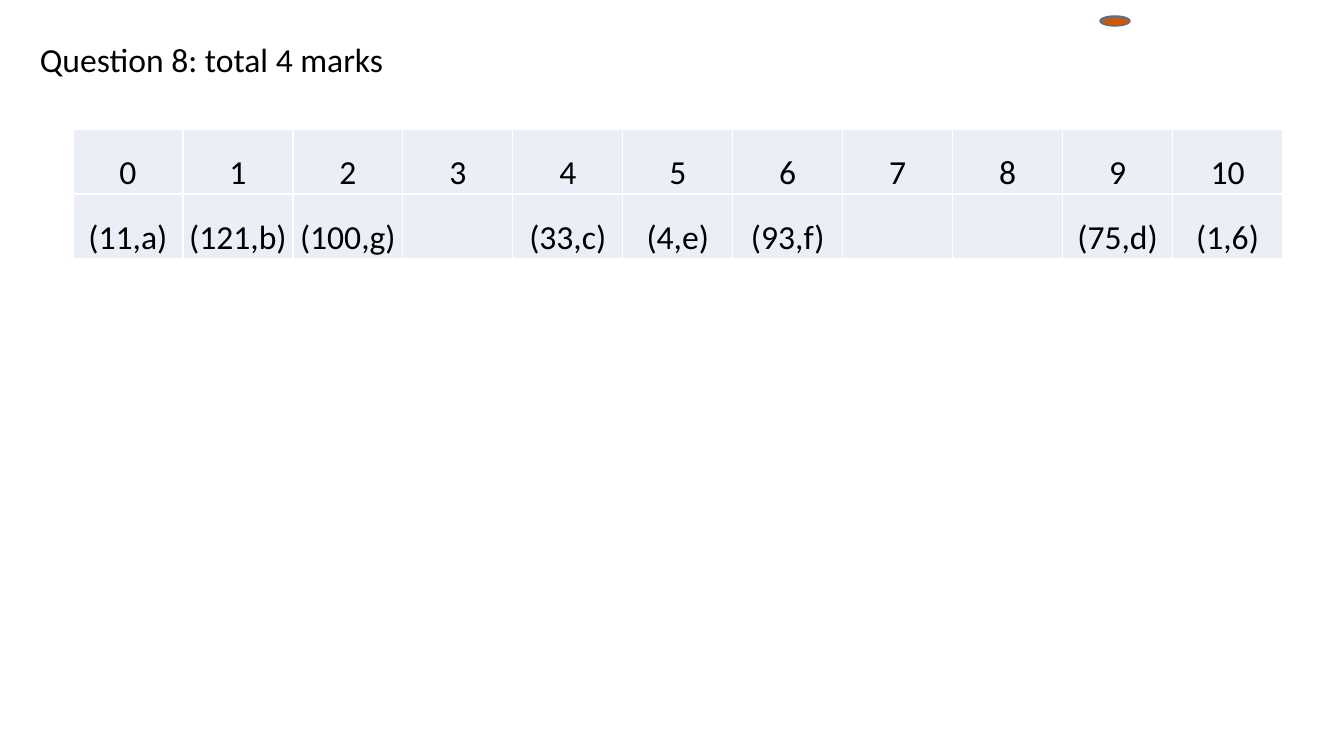
from pptx import Presentation
from pptx.dml.color import RGBColor
from pptx.enum.shapes import MSO_SHAPE
from pptx.enum.text import MSO_ANCHOR, MSO_AUTO_SIZE, PP_ALIGN
from pptx.oxml import parse_xml
from pptx.oxml.ns import nsdecls
from pptx.util import Emu, Pt

BLACK = RGBColor(0x00, 0x00, 0x00)
WHITE = RGBColor(0xFF, 0xFF, 0xFF)
ORANGE = RGBColor(0xC5, 0x5A, 0x11)
BLUE = RGBColor(0x43, 0x73, 0x9E)
PALE_BLUE = RGBColor(0xEA, 0xEF, 0xF7)


def px(n):
    return Emu(round(n * 914400 / 100.8))


def style_text(paragraph):
    paragraph.font.name = "Calibri"
    paragraph.font.size = Pt(24)
    paragraph.font.color.rgb = BLACK


prs = Presentation()
prs.slide_width, prs.slide_height = px(1344), px(756)
slide = prs.slides.add_slide(prs.slide_layouts[6])

# Marker
marker = slide.shapes.add_shape(MSO_SHAPE.OVAL, px(1100), px(16), px(30), px(10))
marker.shadow.inherit = False
marker.fill.solid()
marker.fill.fore_color.rgb = ORANGE
marker.line.color.rgb = BLUE
marker.line.width = Pt(1)

# Question heading
heading = slide.shapes.add_textbox(px(30), px(34), px(377), px(50)).text_frame
heading.word_wrap = False
heading.auto_size = MSO_AUTO_SIZE.SHAPE_TO_FIT_TEXT
heading.text = "Question 8: total 4 marks"
style_text(heading.paragraphs[0])

# Hash table: slot numbers above the entries they hold
entries = ["(11,a)", "(121,b)", "(100,g)", "", "(33,c)", "(4,e)", "(93,f)",
           "", "", "(75,d)", "(1,6)"]
slots = [str(slot) for slot in range(len(entries))]
COLUMN, ROW = 110, 65
hash_table = slide.shapes.add_table(
    2, len(entries), px(73), px(129), px(COLUMN * len(entries)), px(2 * ROW)).table
hash_table.first_row = False
hash_table.horz_banding = False
for column in hash_table.columns:
    column.width = px(COLUMN)

for r, texts in enumerate([slots, entries]):
    hash_table.rows[r].height = px(ROW)
    for c, text in enumerate(texts):
        cell = hash_table.cell(r, c)
        cell.text = text
        cell.vertical_anchor = MSO_ANCHOR.BOTTOM
        cell.margin_left = cell.margin_right = cell.margin_top = px(1)
        cell.margin_bottom = 0
        for side in ("lnL", "lnR", "lnT", "lnB"):
            cell._tc.get_or_add_tcPr().append(parse_xml(
                f'<a:{side} {nsdecls("a")} w="{Pt(1)}"><a:solidFill>'
                f'<a:srgbClr val="{WHITE}"/></a:solidFill></a:{side}>'))
        cell.fill.solid()
        cell.fill.fore_color.rgb = PALE_BLUE
        paragraph = cell.text_frame.paragraphs[0]
        paragraph.alignment = PP_ALIGN.CENTER
        style_text(paragraph)

prs.save("out.pptx")
